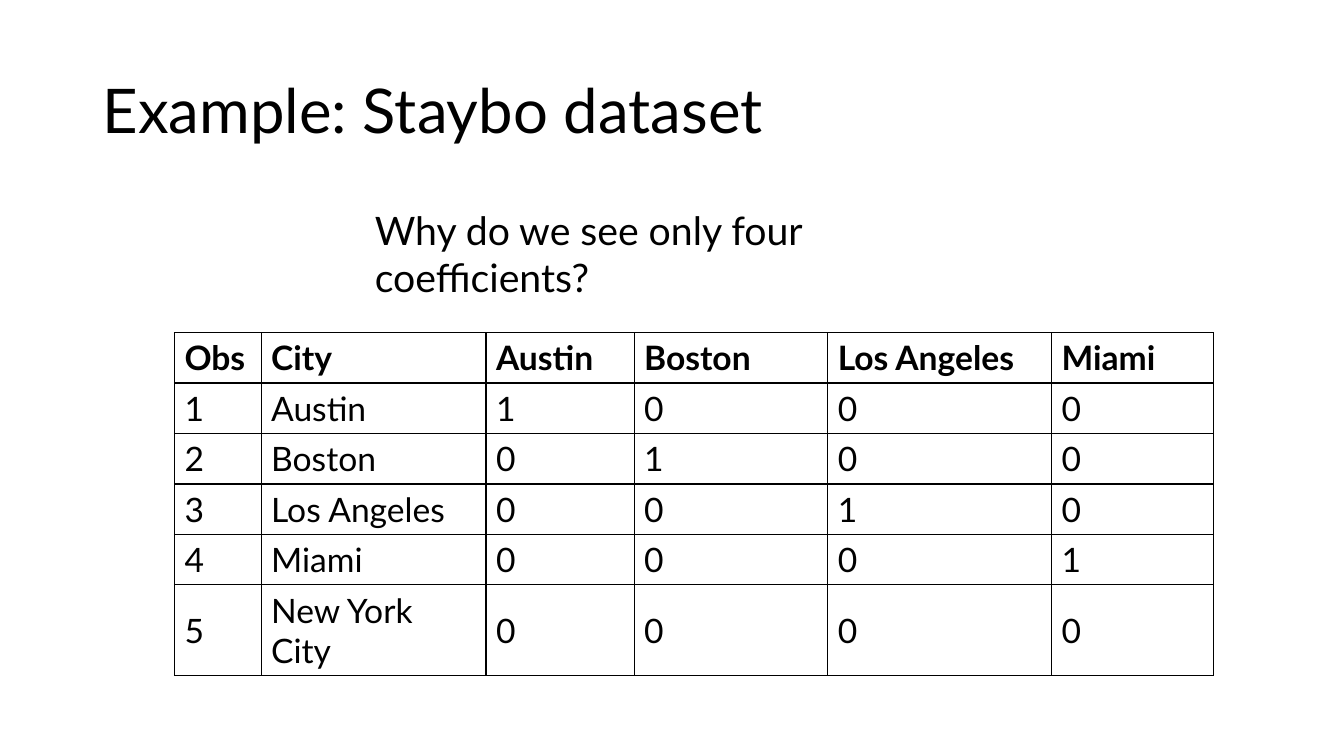
from lxml.etree import SubElement
from pptx import Presentation
from pptx.dml.color import RGBColor as RGB
from pptx.enum.text import MSO_ANCHOR as ANCHOR
from pptx.oxml.ns import qn
from pptx.util import Inches, Pt

COLORS = {"text": "000000", "border": "000000", "background": "FFFFFF"}
CITIES = ["Austin", "Boston", "Los Angeles", "Miami", "New York City"]
COL_WIDTHS = [0.86, 2.23, 1.47, 1.92, 2.22, 1.61]
ROW_HEIGHTS = [0.5] * 5 + [0.9]


class SlideBuilder:
    """Draws styled text and tables on one slide."""

    def __init__(self, slide, font):
        self.s = slide
        self.font = font
        fill = slide.background.fill
        fill.solid()
        fill.fore_color.rgb = RGB.from_string(COLORS["background"])

    def add_run(self, p, text, size, bold=False):
        r = p.add_run()
        r.text = text
        for name, value in {"name": self.font, "size": Pt(size), "bold": bold}.items():
            setattr(r.font, name, value)
        r.font.color.rgb = RGB.from_string(COLORS["text"])

    def add_text(self, box, text, size, anchor=ANCHOR.TOP, spacing=1.0):
        tf = self.s.shapes.add_textbox(*map(Inches, box)).text_frame
        for name, value in {"word_wrap": True, "vertical_anchor": anchor}.items():
            setattr(tf, name, value)
        p = tf.paragraphs[0]
        p.line_spacing = spacing
        self.add_run(p, text, size)

    def add_border(self, cell, width):
        tc_pr = cell._tc.get_or_add_tcPr()
        for i, side in enumerate(("lnL", "lnR", "lnT", "lnB")):
            ln = SubElement(tc_pr, qn(f"a:{side}"), w=str(Pt(width)))
            fill = SubElement(ln, qn("a:solidFill"))
            SubElement(fill, qn("a:srgbClr"), val=COLORS["border"])
            tc_pr.insert(i, ln)

    def add_table(self, left, top, widths, heights, rows, size):
        box = map(Inches, (left, top, sum(widths), sum(heights)))
        table = self.s.shapes.add_table(len(rows), len(widths), *box).table
        for name in ("first_row", "horz_banding"):
            setattr(table, name, False)
        for col, width in zip(table.columns, widths):
            col.width = Inches(width)
        for i, (row, height) in enumerate(zip(table.rows, heights)):
            row.height = Inches(height)
            for cell, value in zip(row.cells, rows[i]):
                cell.vertical_anchor = ANCHOR.MIDDLE
                cell.fill.background()
                self.add_border(cell, 1)
                self.add_run(cell.text_frame.paragraphs[0], value, size, bold=i == 0)


def main():
    prs = Presentation()
    prs.slide_width, prs.slide_height = Inches(13.33), Inches(7.5)
    b = SlideBuilder(prs.slides.add_slide(prs.slide_layouts[6]), "Lato")
    b.add_text((0.92, 0.4, 11.5, 1.45), "Example: Staybo dataset", 44, ANCHOR.MIDDLE, 0.9)
    dummies = CITIES[:-1]
    rows = [["Obs", "City", *dummies]]
    for obs, city in enumerate(CITIES, 1):
        rows.append([str(obs), city, *(str(int(city == d)) for d in dummies)])
    b.add_table(1.73, 3.3, COL_WIDTHS, ROW_HEIGHTS, rows, 24)
    b.add_text((3.62, 2, 6.54, 0.57), "Why do we see only four coefficients?", 28)
    prs.save("out.pptx")


if __name__ == "__main__":
    main()
